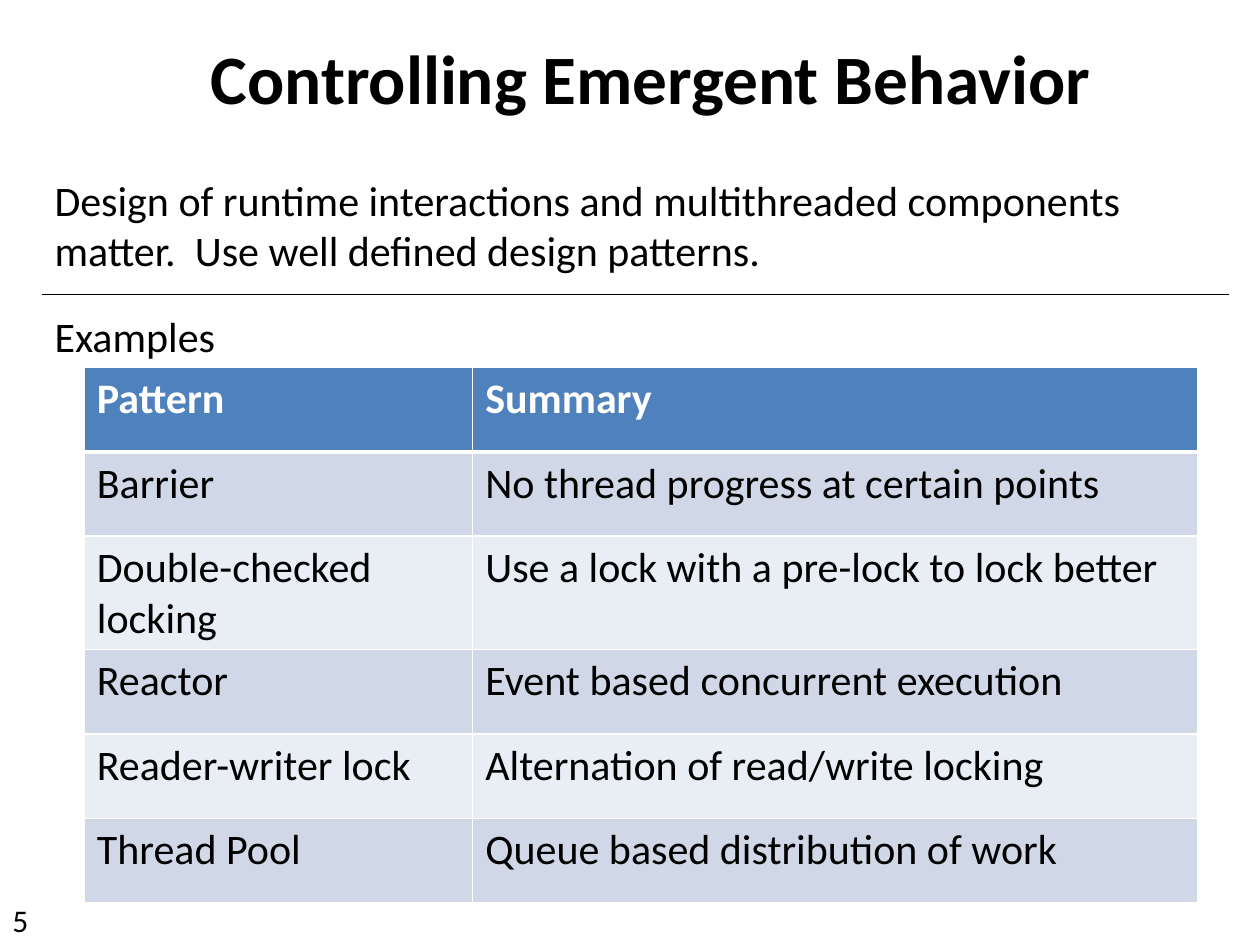
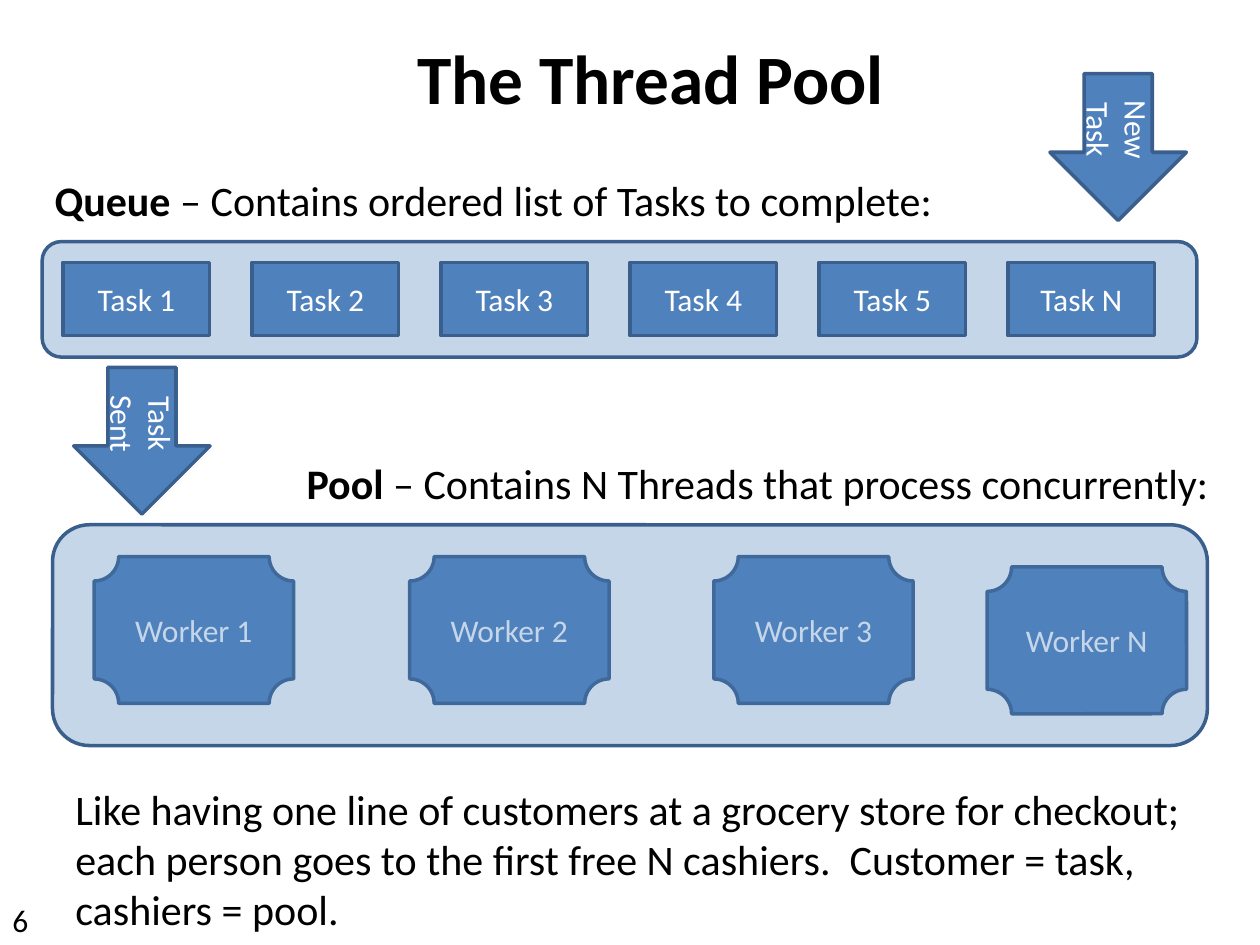
from lxml import etree
from pptx import Presentation
from pptx.dml.color import RGBColor
from pptx.enum.shapes import MSO_CONNECTOR, MSO_SHAPE
from pptx.enum.text import MSO_ANCHOR, PP_ALIGN
from pptx.oxml.ns import qn
from pptx.util import Cm, Pt

LEFT, CENTER = PP_ALIGN.LEFT, PP_ALIGN.CENTER
TOP, MIDDLE = MSO_ANCHOR.TOP, MSO_ANCHOR.MIDDLE
RECTANGLE = MSO_SHAPE.RECTANGLE
ROUNDED = MSO_SHAPE.ROUNDED_RECTANGLE
PLAQUE = MSO_SHAPE.PLAQUE
ARROW = MSO_SHAPE.RIGHT_ARROW
STRAIGHT = MSO_CONNECTOR.STRAIGHT

FONT = "Calibri"
TITLE_SIZE, BODY_SIZE, LABEL_SIZE = 39.6, 24, 18
COLORS = {
    "text": "000000",
    "white": "FFFFFF",
    "blue": "4F81BD",
    "outline": "3A5F8C",
    "odd_row": "D0D8E8",
    "even_row": "E9EDF4",
}

# Content: boxes are (left, top, width, height) in centimetres,
# text is a list of (wording, bold) runs.
TITLE_BOX = (2.54, 0.69, 21.16, 1.7)
LEAD_BOX = (0.85, 3.39, 23.5, 1.7)
NUMBER_BOX = (0, 18.03, 0.85, 1.02)

BEHAVIOR_LEAD = [("Design of runtime interactions and multithreaded components "
                  "matter.  Use well defined design patterns.", False)]
DIVIDER = (0.85, 5.93, 24.77, 5.93)
EXAMPLES = [("Examples", False)]
EXAMPLES_BOX = (0.85, 6.14, 4.23, 1.7)
PATTERNS = [
    ("Pattern", "Summary"),
    ("Barrier", "No thread progress at certain points"),
    ("Double-checked locking", "Use a lock with a pre-lock to lock better"),
    ("Reactor", "Event based concurrent execution"),
    ("Reader-writer lock", "Alternation of read/write locking"),
    ("Thread Pool", "Queue based distribution of work"),
]
PATTERNS_AT = (1.7, 7.41)
PATTERN_COLUMNS = (7.83, 14.61)
PATTERN_ROW = 1.7

QUEUE_LEAD = [("Queue", True),
              (" – Contains ordered list of Tasks to complete:", False)]
QUEUE_BOX = (0.85, 4.87, 23.28, 2.33)
TASKS = ["Task 1", "Task 2", "Task 3", "Task 4", "Task 5", "Task N"]
TASK_BOX = (1.27, 5.29, 2.96, 1.48)
TASK_PITCH = 3.81
POOL_LEAD = [("Pool", True),
             (" – Contains N Threads that process concurrently:", False)]
POOL_LEAD_BOX = (5.93, 9.1, 18.84, 1.7)
POOL_BOX = (1.06, 10.58, 23.28, 4.45)
WORKERS = [("Worker 1", 1.9, 11.22), ("Worker 2", 8.26, 11.22),
           ("Worker 3", 14.39, 11.22), ("Worker N", 19.9, 11.43)]
WORKER_SIZE = (4.02, 2.96)
ARROWS = [("Task Sent", 1.38, 7.51), ("New Task", 21.06, 1.59)]
ARROW_SIZE = (2.96, 2.75)
ANALOGY = [("Like having one line of customers at a grocery store for checkout; "
            "each person goes to the first free N cashiers.  "
            "Customer = task, cashiers = pool.", False)]
ANALOGY_BOX = (1.27, 15.66, 23.28, 2.96)


def rgb(name):
    return RGBColor.from_string(COLORS[name])


def cms(values):
    return [Cm(value) for value in values]


def write(frame, runs, size=BODY_SIZE, color="text", align=LEFT, anchor=TOP):
    frame.word_wrap = True
    frame.vertical_anchor = anchor
    paragraph = frame.paragraphs[0]
    paragraph.alignment = align
    for wording, bold in runs:
        run = paragraph.add_run()
        run.text = wording
        run.font.name = FONT
        run.font.size = Pt(size)
        run.font.bold = bold
        run.font.color.rgb = rgb(color)


def add_text(slide, box, runs, **style):
    write(slide.shapes.add_textbox(*cms(box)).text_frame, runs, **style)


def add_block(slide, kind, box, label=None, opacity=None):
    """Draw a blue outlined shape, with a white label or a see-through fill."""
    block = slide.shapes.add_shape(kind, *cms(box))
    block.shadow.inherit = False
    block.fill.solid()
    block.fill.fore_color.rgb = rgb("blue")
    block.line.color.rgb = rgb("outline")
    block.line.width = Pt(2)
    if opacity:
        fill_color = block.fill._xPr.find(qn("a:solidFill"))[0]
        etree.SubElement(fill_color, qn("a:alpha"), val=str(opacity * 1000))
    if label:
        write(block.text_frame, [(label, False)], LABEL_SIZE, "white", CENTER, MIDDLE)
    return block


def add_divider(slide):
    divider = slide.shapes.add_connector(STRAIGHT, *cms(DIVIDER))
    divider.line.color.rgb = rgb("text")
    divider.line.width = Pt(0.75)
    etree.SubElement(divider._element.spPr, qn("a:effectLst"))


def set_borders(cell, widths):
    """Draw white borders; widths maps the sides L, R, T, B to points."""
    properties = cell._tc.get_or_add_tcPr()
    for place, (side, width) in enumerate(widths.items()):
        border = etree.Element(qn(f"a:ln{side}"), w=str(Pt(width)))
        fill = etree.SubElement(border, qn("a:solidFill"))
        etree.SubElement(fill, qn("a:srgbClr"), val=COLORS["white"])
        properties.insert(place, border)


def add_patterns(slide):
    size = (sum(PATTERN_COLUMNS), PATTERN_ROW * len(PATTERNS))
    table = slide.shapes.add_table(len(PATTERNS), len(PATTERN_COLUMNS),
                                   *cms(PATTERNS_AT + size)).table
    for column, width in zip(table.columns, PATTERN_COLUMNS):
        column.width = Cm(width)
    for r, entries in enumerate(PATTERNS):
        table.rows[r].height = Cm(PATTERN_ROW)
        header = r == 0
        fill = "blue" if header else "odd_row" if r % 2 else "even_row"
        for c, entry in enumerate(entries):
            cell = table.cell(r, c)
            cell.fill.solid()
            cell.fill.fore_color.rgb = rgb(fill)
            write(cell.text_frame, [(entry, header)],
                  color="white" if header else "text")
            set_borders(cell, {"L": 1, "R": 1, "T": 3 if r == 1 else 1,
                               "B": 3 if header else 1})


def add_slide(deck, title, lead, number):
    """Start a slide with the shared title, lead text and page number."""
    slide = deck.slides.add_slide(deck.slide_layouts[6])
    add_text(slide, TITLE_BOX, [(title, True)], size=TITLE_SIZE,
             align=CENTER, anchor=MIDDLE)
    add_text(slide, LEAD_BOX, lead)
    add_text(slide, NUMBER_BOX, [(str(number), False)], size=LABEL_SIZE)
    return slide


def build_behavior(deck):
    slide = add_slide(deck, "Controlling Emergent Behavior", BEHAVIOR_LEAD, 5)
    add_divider(slide)
    add_text(slide, EXAMPLES_BOX, EXAMPLES)
    add_patterns(slide)


def build_thread_pool(deck):
    slide = add_slide(deck, "The Thread Pool", QUEUE_LEAD, 6)
    add_block(slide, ROUNDED, QUEUE_BOX, opacity=32)
    left, *rest = TASK_BOX
    for i, task in enumerate(TASKS):
        add_block(slide, RECTANGLE, (left + i * TASK_PITCH, *rest), task)
    add_text(slide, POOL_LEAD_BOX, POOL_LEAD)
    for worker, x, y in WORKERS:
        add_block(slide, PLAQUE, (x, y, *WORKER_SIZE), worker)
    add_block(slide, ROUNDED, POOL_BOX, opacity=32)  # veils the workers
    for step, x, y in ARROWS:
        add_block(slide, ARROW, (x, y, *ARROW_SIZE), step).rotation = 90
    add_text(slide, ANALOGY_BOX, ANALOGY)


def main():
    deck = Presentation()
    deck.slide_width, deck.slide_height = Cm(25.4), Cm(19.05)
    build_behavior(deck)
    build_thread_pool(deck)
    deck.save("out.pptx")


if __name__ == "__main__":
    main()
